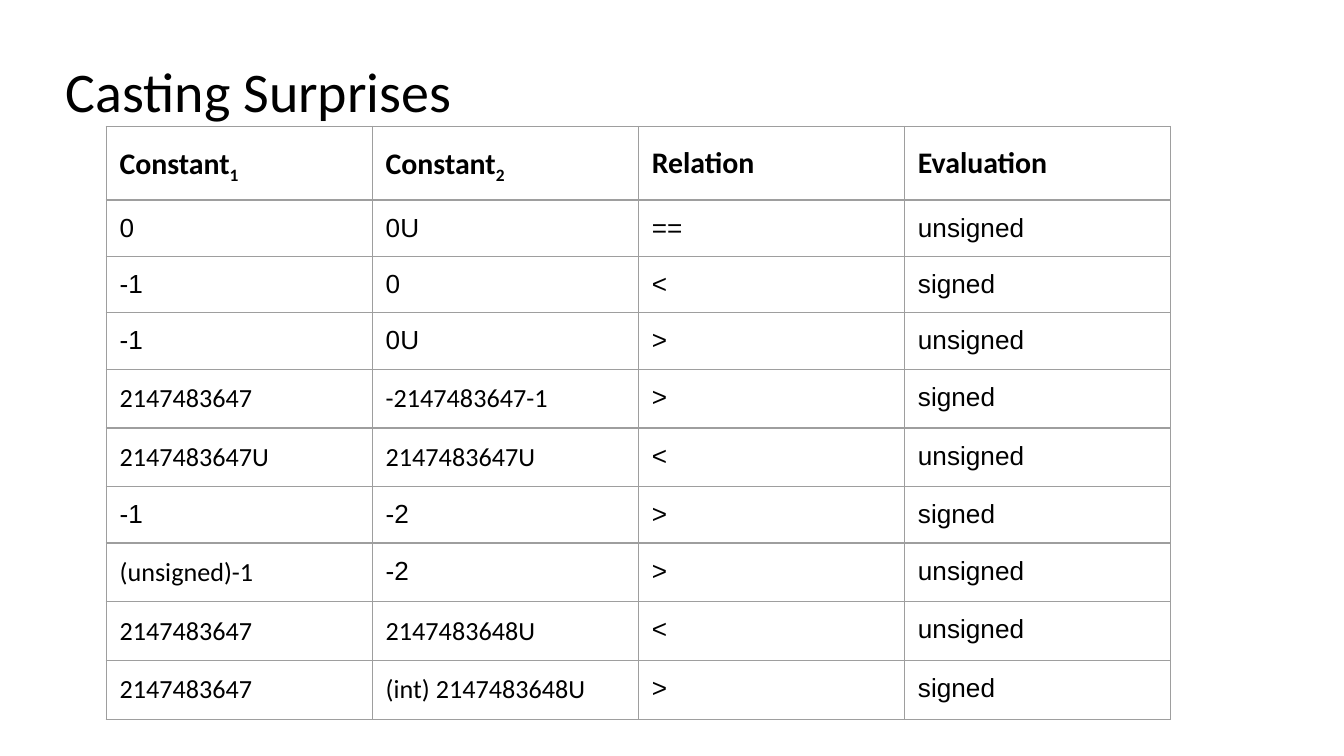
"""Build a slide tabulating the surprises of casting between signed and unsigned."""
from typing import NamedTuple

from lxml import etree
from pptx import Presentation
from pptx.dml.color import RGBColor
from pptx.enum.text import MSO_ANCHOR, MSO_AUTO_SIZE, PP_ALIGN
from pptx.oxml.ns import qn
from pptx.util import Inches, Pt

MIDDLE = MSO_ANCHOR.MIDDLE
NO_AUTOFIT = MSO_AUTO_SIZE.NONE
LEFT = PP_ALIGN.LEFT

BLACK = RGBColor(0x00, 0x00, 0x00)
GREY = RGBColor(0x9E, 0x9E, 0x9E)

TITLE_ONLY = 5
SLIDE_WIDTH = Inches(10)
SLIDE_HEIGHT = SLIDE_WIDTH * 9 // 16
COLUMN_WIDTH, ROW_HEIGHT = Inches(1.98), Inches(0.42)
TABLE_LEFT, TABLE_TOP = Inches(0.79), Inches(0.94)
MARGIN = Inches(0.1)
BORDER_WIDTH = Pt(0.75)
LONGEST_SHORT_CONSTANT = 8


class Heading(NamedTuple):
    """A column heading with an optional subscript."""

    label: str
    subscript: str = ""


class Comparison(NamedTuple):
    """Two constants, how they compare, and the type used to compare them."""

    first: str
    second: str
    relation: str
    evaluation: str


HEADINGS = [
    Heading("Constant", "1"),
    Heading("Constant", "2"),
    Heading("Relation"),
    Heading("Evaluation"),
]
COMPARISONS = [
    Comparison("0", "0U", "==", "unsigned"),
    Comparison("-1", "0", "<", "signed"),
    Comparison("-1", "0U", ">", "unsigned"),
    Comparison("2147483647", "-2147483647-1", ">", "signed"),
    Comparison("2147483647U", "2147483647U", "<", "unsigned"),
    Comparison("-1", "-2", ">", "signed"),
    Comparison("(unsigned)-1", "-2", ">", "unsigned"),
    Comparison("2147483647", "2147483648U", "<", "unsigned"),
    Comparison("2147483647", "(int) 2147483648U", ">", "signed"),
]


def set_font(para, name: str, size: float, bold: bool = False) -> None:
    """Format a whole paragraph in black."""
    para.font.name = name
    para.font.size = Pt(size)
    para.font.bold = bold
    para.font.color.rgb = BLACK


def set_margins(box) -> None:
    """Give a cell or text frame equal margins."""
    box.margin_left = box.margin_right = MARGIN
    box.margin_top = box.margin_bottom = MARGIN


def style_cell(cell) -> None:
    """Give a cell grey borders, no fill and equal margins."""
    set_margins(cell)
    properties = cell._tc.get_or_add_tcPr()
    for side in ("lnL", "lnR", "lnT", "lnB"):
        line = etree.SubElement(properties, qn(f"a:{side}"), w=str(BORDER_WIDTH))
        fill = etree.SubElement(line, qn("a:solidFill"))
        etree.SubElement(fill, qn("a:srgbClr"), val=str(GREY))
    cell.fill.background()


def write_heading(cell, heading: Heading) -> None:
    """Write a bold column heading and its subscript."""
    para = cell.text_frame.paragraphs[0]
    para.line_spacing = 1.15
    para.space_before = Pt(4.8)
    para.add_run().text = heading.label
    if heading.subscript:
        span = para.add_run()
        span.text = heading.subscript
        span.font._element.set("baseline", "-25000")
    set_font(para, "Calibri", 16, bold=True)


def write_value(cell, text: str) -> None:
    """Write a table value, with long constants in Calibri."""
    cell.text = text
    name = "Calibri" if len(text) > LONGEST_SHORT_CONSTANT else "Arial"
    set_font(cell.text_frame.paragraphs[0], name, 14)


def add_title(page, text: str) -> None:
    """Place and format the slide title."""
    box = page.shapes.title
    box.left, box.top = Inches(0.39), Inches(0.36)
    box.width, box.height = Inches(8.3), Inches(0.62)
    frame = box.text_frame
    frame.text = text
    frame.word_wrap = True
    frame.auto_size = NO_AUTOFIT
    frame.vertical_anchor = MIDDLE
    set_margins(frame)
    para = frame.paragraphs[0]
    para.alignment = LEFT
    set_font(para, "Calibri", 30)


def add_comparison_table(page) -> None:
    """Add the table of headings and comparisons."""
    row_count, column_count = len(COMPARISONS) + 1, len(HEADINGS)
    table = page.shapes.add_table(
        row_count, column_count, TABLE_LEFT, TABLE_TOP,
        column_count * COLUMN_WIDTH, row_count * ROW_HEIGHT,
    ).table
    table.first_row = table.horz_banding = False
    for cell in table.iter_cells():
        style_cell(cell)
    for column, heading in enumerate(HEADINGS):
        write_heading(table.cell(0, column), heading)
    for row, comparison in enumerate(COMPARISONS, start=1):
        for column, text in enumerate(comparison):
            write_value(table.cell(row, column), text)


def main() -> None:
    """Create and save the presentation."""
    deck = Presentation()
    deck.slide_width, deck.slide_height = SLIDE_WIDTH, SLIDE_HEIGHT
    page = deck.slides.add_slide(deck.slide_layouts[TITLE_ONLY])
    add_title(page, "Casting Surprises")
    add_comparison_table(page)
    deck.save("out.pptx")


if __name__ == "__main__":
    main()
